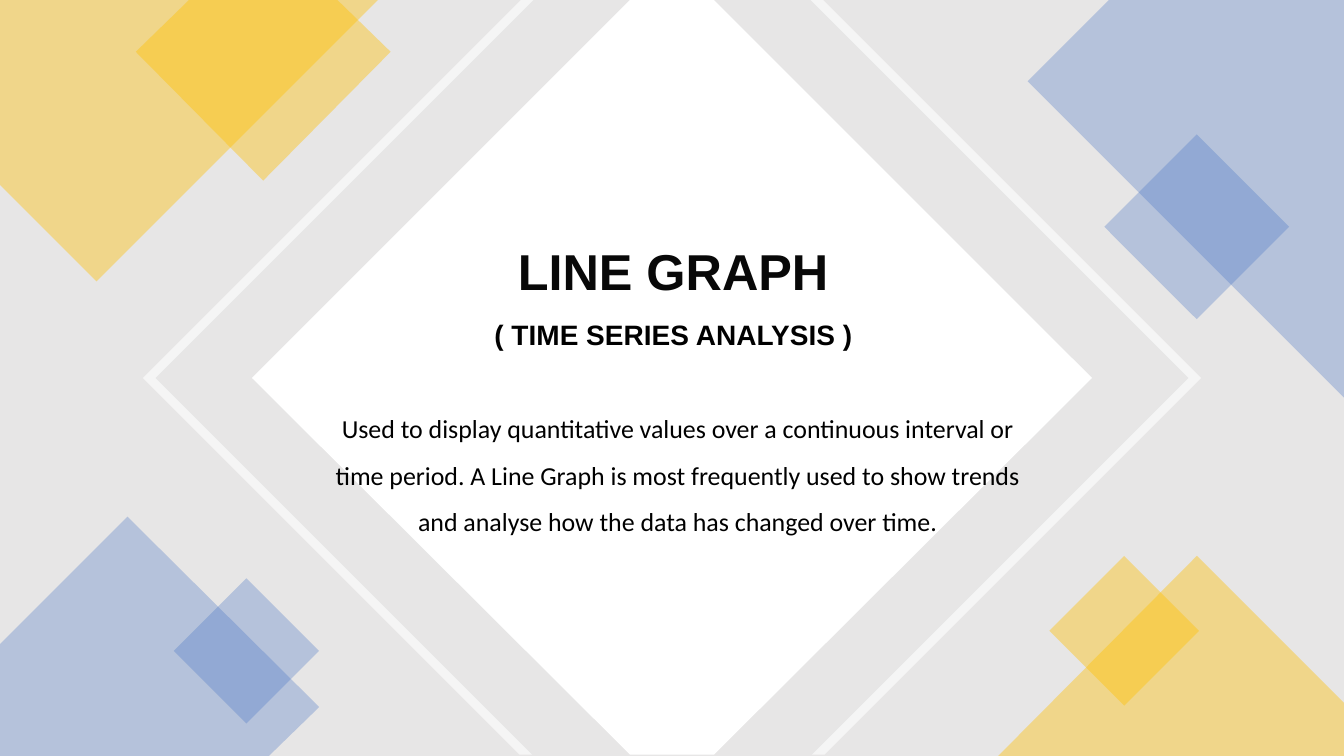
"""Build the line graph title slide with translucent diamonds around a white centre."""
from lxml import etree
from pptx import Presentation
from pptx import util as u
from pptx.dml.color import RGBColor
from pptx.enum import shapes, text
from pptx.oxml import ns

WIDTH, HEIGHT = 960, 540
GREY = RGBColor(0xE7, 0xE6, 0xE6)
WHITE = RGBColor(0xFF, 0xFF, 0xFF)
YELLOW = RGBColor(0xFF, 0xC0, 0x00)
BLUE = RGBColor(0x44, 0x72, 0xC4)
BLACK = RGBColor(0x00, 0x00, 0x00)
TITLE_BLACK = RGBColor(0x08, 0x08, 0x08)

YELLOW_OPACITY, BLUE_OPACITY, BAND_OPACITY = 40, 30, 60

CHEVRON = [(579, 0), (588.2, 0), (858.2, 270), (589, 539.3), (579.6, 539.3), (848.9, 270)]
POLYGONS = [
    ([(0, 0), (270, 0), (69.1, 200.9), (0, 131.8)], YELLOW, YELLOW_OPACITY),
    ([(134.6, 0), (256.8, 0), (241.2, 0), (279.4, 37.4), (187.9, 128.9), (97.2, 37.4)],
     YELLOW, YELLOW_OPACITY),
    ([(792, 0), (960, 0), (960, 283.7), (733.7, 57.6)], BLUE, BLUE_OPACITY),
    ([(91.4, 368.6), (227.5, 504.7), (192.2, 540), (0, 540), (0, 460.1)], BLUE, BLUE_OPACITY),
    ([(855.4, 397.4), (960, 502), (960, 540), (712.8, 540)], YELLOW, YELLOW_OPACITY),
    ([(450, 0), (510, 0), (780, 270), (510.5, 539.3), (449.5, 539.3), (180, 270)], WHITE, 100),
    (CHEVRON, WHITE, BAND_OPACITY),
    ([(WIDTH - x, y) for x, y in CHEVRON], WHITE, BAND_OPACITY),
]
POLYGONS[1] = ([point for point in POLYGONS[1][0] if point != (256.8, 0)], YELLOW, YELLOW_OPACITY)

SQUARES = [
    (854.8, 162, 93.4, BLUE, BLUE_OPACITY),
    (176, 465, 73.4, BLUE, BLUE_OPACITY),
    (803, 450.6, 75.6, YELLOW, YELLOW_OPACITY),
]

TEXTS = [
    ("Used to display quantitative values over a continuous interval or time period. "
     "A Line Graph is most frequently used to show trends and analyse how the data "
     "has changed over time.",
     dict(box=(218.2, 280, 531.4, 109.4), font="Calibri", size=18.5, spacing=1.5)),
    ("LINE GRAPH",
     dict(box=(253.4, 146.9, 455, 98.6), size=36, spacing=0.9, color=TITLE_BLACK, bold=True,
          anchor=text.MSO_ANCHOR.MIDDLE)),
    ("( TIME SERIES ANALYSIS )",
     dict(box=(215.3, 208.8, 531.4, 44.6), size=20, spacing=1.6, bold=True)),
]


def paint(shape, color, opacity=100):
    shape.shadow.inherit = False
    shape.line.fill.background()
    shape.fill.solid()
    shape.fill.fore_color.rgb = color
    if opacity < 100:
        color_element = shape.fill._xPr.find(".//" + ns.qn("a:srgbClr"))
        etree.SubElement(color_element, ns.qn("a:alpha"), val=str(opacity * 1000))


def add_rectangle(slide, left, top, width, height):
    return slide.shapes.add_shape(
        shapes.MSO_SHAPE.RECTANGLE, *map(u.Pt, (left, top, width, height)))


def add_polygon(slide, points):
    builder = slide.shapes.build_freeform(*points[0], scale=u.Pt(1))
    builder.add_line_segments(points[1:], close=True)
    return builder.convert_to_shape()


def add_text(slide, content, *, box, size, spacing, font="Arial", color=BLACK, bold=False,
             anchor=text.MSO_ANCHOR.TOP):
    frame = slide.shapes.add_textbox(*map(u.Pt, box)).text_frame
    frame.word_wrap = True
    frame.vertical_anchor = anchor
    paragraph = frame.paragraphs[0]
    paragraph.alignment = text.PP_ALIGN.CENTER
    paragraph.line_spacing = spacing
    run = paragraph.add_run()
    run.text = content
    run.font.name = font
    run.font.size = u.Pt(size)
    run.font.bold = bold
    run.font.color.rgb = color


def main():
    presentation = Presentation()
    presentation.slide_width, presentation.slide_height = u.Pt(WIDTH), u.Pt(HEIGHT)
    slide = presentation.slides.add_slide(presentation.slide_layouts[6])
    paint(add_rectangle(slide, 0, 0, WIDTH, HEIGHT), GREY)
    for points, color, opacity in POLYGONS:
        paint(add_polygon(slide, points), color, opacity)
    for center_x, center_y, side, color, opacity in SQUARES:
        square = add_rectangle(slide, center_x - side / 2, center_y - side / 2, side, side)
        square.rotation = 45
        paint(square, color, opacity)
    for content, style in TEXTS:
        add_text(slide, content, **style)
    presentation.save("out.pptx")


if __name__ == "__main__":
    main()
